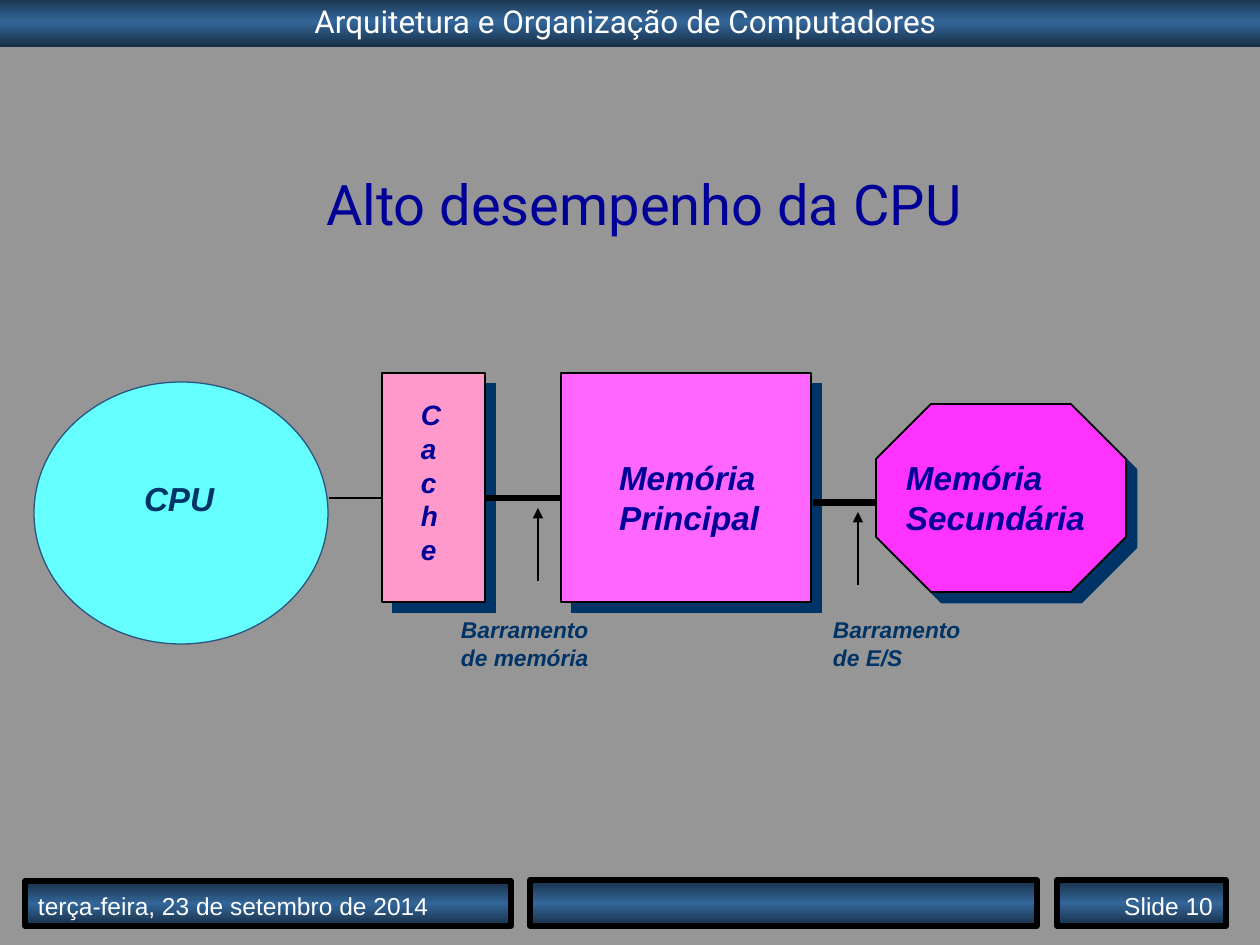
from copy import deepcopy
from typing import NamedTuple

from pptx import Presentation
from pptx.dml.color import RGBColor as RGB
from pptx.enum.shapes import MSO_CONNECTOR as Link, MSO_SHAPE as Kind
from pptx.enum.text import MSO_ANCHOR as Anchor, MSO_AUTO_SIZE as Auto, PP_ALIGN as Align
from pptx.oxml.ns import qn
from pptx.util import Emu, Pt

SCALE = 914400 / 126
COLORS = {
    "back": "969696", "edge": "172F46", "glow": "336699", "white": "FFFFFF",
    "black": "000000", "ink": "000099", "navy": "003366", "rim": "2B5481",
    "cyan": "66FFFF", "rose": "FF99CC", "pink": "FF66FF", "hot": "FF33FF",
}


class Box(NamedTuple):
    x: int
    y: int
    w: int
    h: int


class Bar(NamedTuple):
    box: Box
    text: str
    line: float = 3
    size: int = 14
    font: str = "Arial"
    align: Align = Align.LEFT
    anchor: Anchor = Anchor.BOTTOM
    pad: tuple = (13, 6, 13, 6)


class Unit(NamedTuple):
    kind: Kind
    box: Box
    fill: str
    line: str = "black"
    width: float = 1
    shade: bool = True


class Label(NamedTuple):
    box: Box
    text: str
    size: int
    color: str


class Wire(NamedTuple):
    start: tuple
    end: tuple
    width: float = 1
    arrow: bool = False


BARS = [
    Bar(Box(0, -4, 1260, 51), "Arquitetura e Organização de Computadores", line=0, size=18,
        font="Roboto", align=Align.CENTER, anchor=Anchor.TOP, pad=(13, 6, 22, 6)),
    Bar(Box(25, 881, 486, 45), "terça-feira, 23 de setembro de 2014"),
    Bar(Box(530, 880, 507, 46), ""),
    Bar(Box(1057, 880, 169, 46), "Slide 10", align=Align.RIGHT),
]
UNITS = [
    Unit(Kind.OVAL, Box(34, 382, 294, 262), "cyan", "rim", 0.75, False),
    Unit(Kind.RECTANGLE, Box(382, 373, 103, 229), "rose"),
    Unit(Kind.RECTANGLE, Box(561, 373, 250, 229), "pink"),
    Unit(Kind.OCTAGON, Box(876, 404, 250, 188), "hot"),
]
LABELS = [
    Label(Box(134, 473, 110, 50), "CPU", 19, "navy"),
    Label(Box(411, 393, 50, 178), "\n".join("Cache"), 16, "ink"),
    Label(Box(609, 452, 180, 90), "Memória\nPrincipal", 19, "ink"),
    Label(Box(896, 452, 215, 90), "Memória\nSecundária", 19, "ink"),
    Label(Box(451, 611, 165, 64), "Barramento\nde memória", 13, "navy"),
    Label(Box(823, 611, 165, 64), "Barramento\nde E/S", 13, "navy"),
]
WIRES = [
    Wire((329, 498), (381, 498)),
    Wire((486, 498), (560, 498), 4),
    Wire((813, 503), (875, 503), 4),
    Wire((538, 581), (538, 508), arrow=True),
    Wire((858, 585), (858, 512), arrow=True),
]


def px(num: float) -> Emu:
    return Emu(round(num * SCALE))


def rgb(name: str) -> RGB:
    return RGB.from_string(COLORS[name])


def write(shape, text: str, *, size: int, color: str, font: str = "Arial",
          strong: bool = False, align: Align = Align.LEFT,
          anchor: Anchor = Anchor.TOP, pad: tuple = (10, 5, 10, 5)) -> None:
    """Fill a shape with one paragraph per line; strong is bold italic."""
    frame = shape.text_frame
    frame.word_wrap = True
    frame.auto_size = Auto.NONE
    frame.vertical_anchor = anchor
    (frame.margin_left, frame.margin_top,
     frame.margin_right, frame.margin_bottom) = map(px, pad)
    frame.text = text
    for para in frame.paragraphs:
        para.alignment = align
        para.space_before = Pt(0)
        face = para.font
        face.name, face.size = font, Pt(size)
        face.bold = face.italic = strong
        face.color.rgb = rgb(color)


def add_bar(slide, bar: Bar) -> None:
    shape = slide.shapes.add_shape(Kind.RECTANGLE, *map(px, bar.box))
    shape.shadow.inherit = False
    fill = shape.fill
    fill.gradient()
    fill.gradient_angle = 90
    stops = shape._element.spPr.find(".//" + qn("a:gsLst"))
    stops.append(deepcopy(stops[0]))
    for stop, name, pos in zip(fill.gradient_stops, ("edge", "glow", "edge"), (0, 0.5, 1)):
        stop.color.rgb = rgb(name)
        stop.position = pos
    if bar.line:
        shape.line.color.rgb = rgb("black")
        shape.line.width = Pt(bar.line)
    else:
        shape.line.fill.background()
    if bar.text:
        write(shape, bar.text, size=bar.size, color="white", font=bar.font,
              align=bar.align, anchor=bar.anchor, pad=bar.pad)


def add_shade(shape) -> None:
    """Give a shape a hard shadow to the lower right."""
    list_el = shape._element.spPr.find(qn("a:effectLst"))
    shade = list_el.makeelement(qn("a:outerShdw"), {
        "blurRad": "0", "dist": str(Pt(8.5)), "dir": "2700000",
        "algn": "ctr", "rotWithShape": "0"})
    shade.append(shade.makeelement(qn("a:srgbClr"), {"val": COLORS["navy"]}))
    list_el.append(shade)


def add_unit(slide, unit: Unit) -> None:
    shape = slide.shapes.add_shape(unit.kind, *map(px, unit.box))
    shape.shadow.inherit = False
    shape.fill.solid()
    shape.fill.fore_color.rgb = rgb(unit.fill)
    shape.line.color.rgb = rgb(unit.line)
    shape.line.width = Pt(unit.width)
    if unit.shade:
        add_shade(shape)


def add_wire(slide, wire: Wire) -> None:
    link = slide.shapes.add_connector(Link.STRAIGHT, *map(px, wire.start + wire.end))
    link.line.color.rgb = rgb("black")
    link.line.width = Pt(wire.width)
    props = link._element.spPr
    props.append(props.makeelement(qn("a:effectLst"), {}))
    if wire.arrow:
        line = props.find(qn("a:ln"))
        line.append(line.makeelement(qn("a:tailEnd"), {"type": "triangle"}))


def main() -> None:
    deck = Presentation()
    deck.slide_width, deck.slide_height = px(1260), px(945)
    slide = deck.slides.add_slide(deck.slide_layouts[5])
    back = slide.background.fill
    back.solid()
    back.fore_color.rgb = rgb("back")

    for bar in BARS:
        add_bar(slide, bar)
    title = slide.shapes.title
    title.left, title.top, title.width, title.height = map(px, Box(207, 165, 850, 98))
    write(title, "Alto desempenho da CPU", size=32, color="ink", font="Roboto",
          pad=(119, 4, 8, 4))
    for unit in UNITS:
        add_unit(slide, unit)
    for label in LABELS:
        area = slide.shapes.add_textbox(*map(px, label.box))
        write(area, label.text, size=label.size, color=label.color, strong=True)
    for wire in WIRES:
        add_wire(slide, wire)
    deck.save("out.pptx")


if __name__ == "__main__":
    main()
